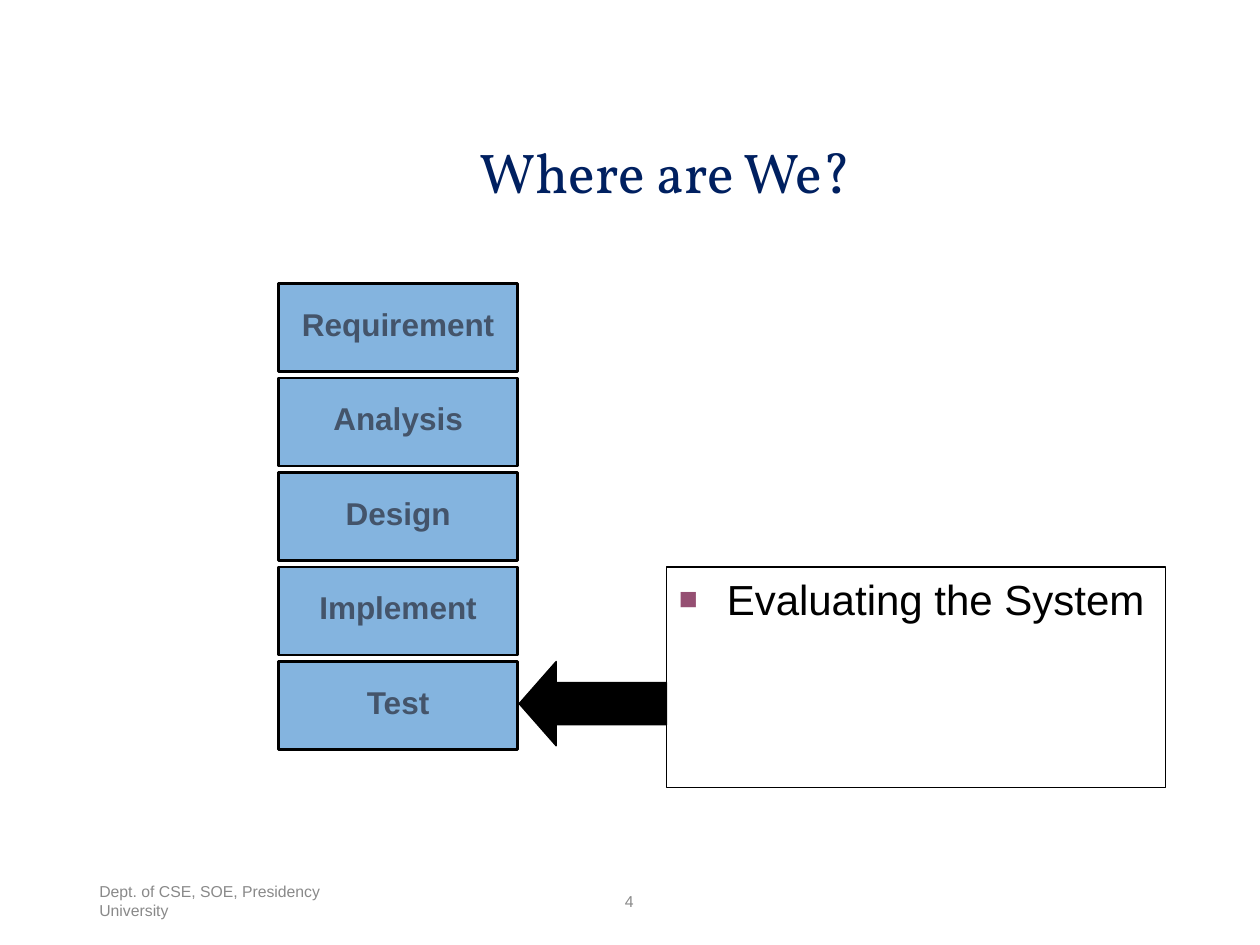
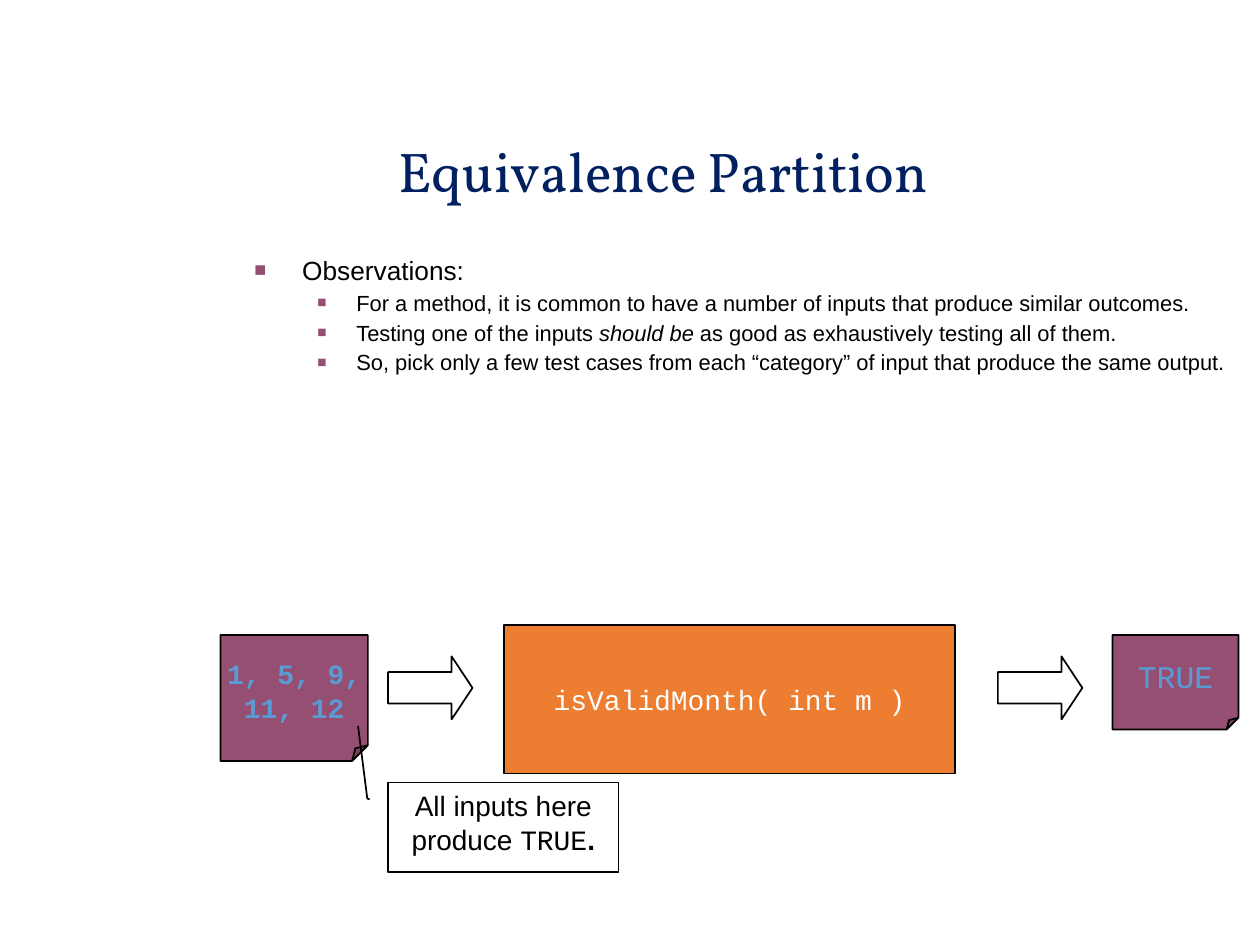
from lxml import etree
from pptx import Presentation
from pptx.dml.color import RGBColor
from pptx.enum.shapes import MSO_SHAPE
from pptx.enum.text import MSO_ANCHOR, PP_ALIGN
from pptx.oxml.ns import qn
from pptx.util import Inches, Pt

NAVY = RGBColor(0x00, 0x20, 0x60)
GREY = RGBColor(0x89, 0x89, 0x89)
BLUE = RGBColor(0x5B, 0x9B, 0xD5)
SLATE = RGBColor(0x44, 0x54, 0x6A)
PLUM = RGBColor(0x95, 0x4F, 0x72)
ORANGE = RGBColor(0xED, 0x7D, 0x31)
BLACK = RGBColor(0, 0, 0)
WHITE = RGBColor(255, 255, 255)

SERIF, SANS, MONO = "Vollkorn", "Arial", "Courier New"
RECT = MSO_SHAPE.RECTANGLE
FOLD = MSO_SHAPE.FOLDED_CORNER
LEFT_ARROW, RIGHT_ARROW = MSO_SHAPE.LEFT_ARROW, MSO_SHAPE.RIGHT_ARROW
CALLOUT = MSO_SHAPE.LINE_CALLOUT_2
TOP, MIDDLE = MSO_ANCHOR.TOP, MSO_ANCHOR.MIDDLE
LEFT, CENTER = PP_ALIGN.LEFT, PP_ALIGN.CENTER


# Shared helpers
def place(box):
    return [Inches(v) for v in box]


def set_frame(frame, anchor=TOP, side=0.1, top=0.05, wrap=True):
    frame.word_wrap = wrap
    frame.vertical_anchor = anchor
    frame.margin_left = frame.margin_right = Inches(side)
    frame.margin_top = frame.margin_bottom = Inches(top)


def write(par, parts, size, color, font=SANS, align=CENTER):
    """Fill a paragraph with (text, changes) parts in one base style."""
    par.alignment = align
    par.text = ""
    for text, changes in parts:
        run = par.add_run()
        run.text = text
        run.font.size = Pt(size)
        run.font.name = font
        run.font.color.rgb = color
        for key, value in changes.items():
            setattr(run.font, key, value)


def add_bullet(par, indent, hang, percent):
    props = par._p.get_or_add_pPr()
    props.set("marL", str(Inches(indent)))
    props.set("indent", str(-Inches(hang)))
    color = etree.SubElement(props, qn("a:buClr"))
    etree.SubElement(color, qn("a:srgbClr"), val=str(PLUM))
    etree.SubElement(props, qn("a:buSzPct"), val=str(percent * 1000))
    etree.SubElement(props, qn("a:buFont"), typeface=SANS)
    etree.SubElement(props, qn("a:buChar"), char="■")


def add_form(slide, kind, box, fill=None, line=1, adjust=()):
    form = slide.shapes.add_shape(kind, *place(box))
    form.shadow.inherit = False
    if fill is None:
        form.fill.background()
    else:
        form.fill.solid()
        form.fill.fore_color.rgb = fill
    form.line.color.rgb = BLACK
    form.line.width = Pt(line)
    if kind != CALLOUT:
        for i, value in enumerate(adjust):
            form.adjustments[i] = value
    return form


def bend_line(form, points):
    """Set the leader of a callout, whose guides the library does not list."""
    shape = form._element.spPr.find(qn("a:prstGeom"))
    shape.set("prst", "borderCallout2")
    guides = shape.find(qn("a:avLst"))
    if guides is None:
        guides = etree.SubElement(shape, qn("a:avLst"))
    for old in list(guides):
        guides.remove(old)
    for i, value in enumerate(points, 1):
        etree.SubElement(guides, qn("a:gd"), name=f"adj{i}",
                         fmla=f"val {round(value * 100000)}")


def add_label(slide, text, box, align):
    frame = slide.shapes.add_textbox(*place(box)).text_frame
    set_frame(frame, MIDDLE)
    write(frame.paragraphs[0], [(text, {})], 9, GREY, align=align)


def add_slide(deck, text, box):
    slide = deck.slides.add_slide(deck.slide_layouts[5])
    title = slide.shapes.title
    title.left, title.top, title.width, title.height = place(box)
    set_frame(title.text_frame, side=0.07, top=0.03)
    par = title.text_frame.paragraphs[0]
    write(par, [(text, {})], 32, NAVY, SERIF)
    par.line_spacing = 0.9
    return slide


# Stack of project phases
def draw_phases(slide, box, names):
    left, top, width, height = box
    step = height / len(names)
    for i, name in enumerate(names):
        form = add_form(slide, RECT, (left, top + i * step, width, step - 0.05), BLUE, 1.5)
        color = form._element.spPr.find(qn("a:solidFill"))[0]
        etree.SubElement(color, qn("a:alpha"), val="75000")
        set_frame(form.text_frame, top=0.17)
        write(form.text_frame.paragraphs[0], [(name, {"bold": True})], 18, SLATE)


# Note with an arrow back to the current phase
def draw_note(slide, box, text):
    left, top, width, height = box
    add_form(slide, LEFT_ARROW, (left - 1.17, top + 0.75, 1.17, 0.67),
             BLACK, 0.75, (0.5, 0.44))
    frame = add_form(slide, RECT, box).text_frame
    set_frame(frame)
    par = frame.paragraphs[0]
    add_bullet(par, 0.38, 0.38, 75)
    write(par, [(text, {})], 24, BLACK, align=LEFT)


# Bulleted heading with points below it
def draw_points(slide, box, head, points):
    frame = slide.shapes.add_textbox(*place(box)).text_frame
    set_frame(frame)
    for i, parts in enumerate([head, *points]):
        par = frame.add_paragraph() if i else frame.paragraphs[0]
        if i:
            par.level = 1
            add_bullet(par, 0.81, 0.31, 70)
            par.space_before = Pt(5)
        else:
            add_bullet(par, 0.38, 0.38, 75)
        par.line_spacing = 0.8
        write(par, parts, 12.5 if i else 15, BLACK, align=LEFT)


# Inputs, method and result joined by arrows
def draw_flow(slide, box):
    left, top, width, height = box
    method = add_form(slide, RECT, (left + 2.25, top, 3.58, height), ORANGE)
    set_frame(method.text_frame, MIDDLE)
    write(method.text_frame.paragraphs[0], [("isValidMonth( int m )", {})], 16, WHITE, MONO)

    cards = (
        (0, 1.17, 1, "1, 5, 9,\v11, 12", 16, True),
        (width - 1, 1, 0.75, "TRUE", 18, False),
    )
    for x, wide, high, text, size, bold in cards:
        card = add_form(slide, FOLD, (left + x, top + 0.08, wide, high), PLUM)
        set_frame(card.text_frame, MIDDLE, wrap=False)
        par = card.text_frame.paragraphs[0]
        par.alignment = CENTER
        par.text = text
        for run in par.runs:
            run.font.size = Pt(size)
            run.font.name = MONO
            run.font.bold = bold
            run.font.color.rgb = BLUE
        fold = card._element.spPr.find(qn("a:prstGeom")).find(qn("a:avLst"))
        if len(fold) == 0:
            etree.SubElement(fold, qn("a:gd"), name="adj", fmla="val 12500")

    for x in (1.33, 6.17):
        add_form(slide, RIGHT_ARROW, (left + x, top + 0.25, 0.67, 0.5), adjust=(0.5, 0.33))

    # Remark pointing at the inputs
    remark = add_form(slide, CALLOUT, (left + 1.33, top + 1.25, 1.83, 0.71))
    bend_line(remark, (0.19, -0.08, 0.18, -0.09, -0.63, -0.13))
    set_frame(remark.text_frame)
    write(remark.text_frame.paragraphs[0], [
        ("All inputs here produce ", {}),
        ("TRUE", {"name": MONO}),
        (".", {"bold": True}),
    ], 16, BLACK)


def draw_where(deck):
    slide = add_slide(deck, "Where are We?", (3.65, 1.12, 3.27, 0.6))
    add_label(slide, "Dept. of CSE, SOE, Presidency University", (0.69, 6.95, 2.25, 0.4), LEFT)
    add_label(slide, "4", (3.31, 6.95, 3.37, 0.4), CENTER)
    draw_phases(slide, (2.21, 2.25, 1.9, 3.75),
                ("Requirement", "Analysis", "Design", "Implement", "Test"))
    draw_note(slide, (5.29, 4.5, 3.96, 1.75), "Evaluating the System")


def draw_classes(deck):
    slide = add_slide(deck, "Equivalence Partition", (3.09, 1.11, 4.35, 1.02))
    draw_points(slide, (1.92, 2.02, 7.92, 1.56), [("Observations:", {})], [
        [("For a method, it is common to have a number of inputs "
          "that produce similar outcomes.", {})],
        [("Testing one of the inputs ", {}), ("should be ", {"italic": True}),
         ("as good as exhaustively testing all of them.", {})],
        [("So, pick only a few test cases from each “category” of input "
          "that produce the same output.", {})],
    ])
    draw_flow(slide, (1.75, 4.96, 8.08, 1.18))


def main():
    deck = Presentation()
    deck.slide_width, deck.slide_height = Inches(10), Inches(7.5)
    draw_where(deck)
    draw_classes(deck)
    deck.save("out.pptx")


if __name__ == "__main__":
    main()
